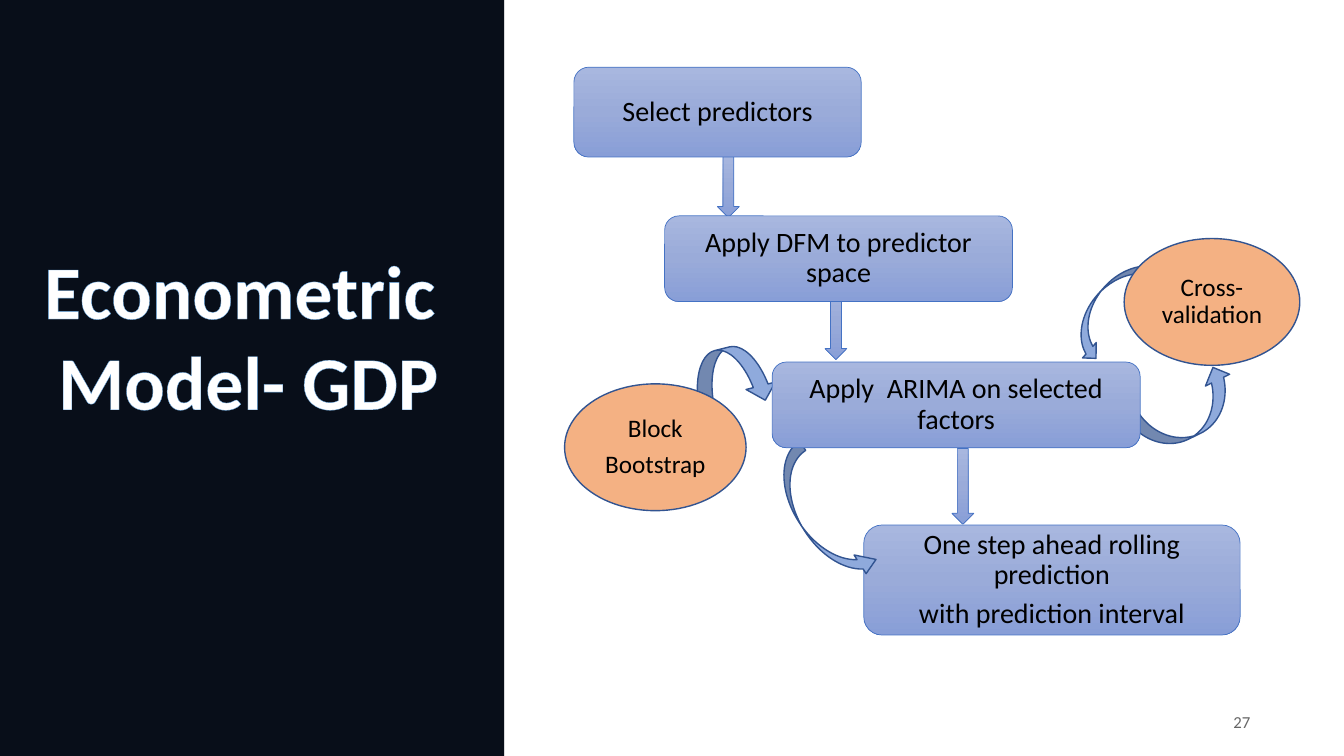
from copy import deepcopy
from dataclasses import dataclass

from lxml import etree
from pptx import Presentation
from pptx.dml.color import RGBColor
from pptx.enum.shapes import MSO_SHAPE
from pptx.enum.text import MSO_ANCHOR, MSO_AUTO_SIZE, PP_ALIGN
from pptx.oxml.ns import qn
from pptx.util import Inches, Pt

BOX = MSO_SHAPE.ROUNDED_RECTANGLE
OVAL = MSO_SHAPE.OVAL
DOWN = MSO_SHAPE.DOWN_ARROW
CURVE_RIGHT = MSO_SHAPE.CURVED_RIGHT_ARROW
CURVE_DOWN = MSO_SHAPE.CURVED_DOWN_ARROW
CURVE_UP = MSO_SHAPE.CURVED_UP_ARROW
MIDDLE = MSO_ANCHOR.MIDDLE
CENTER = PP_ALIGN.CENTER
RIGHT = PP_ALIGN.RIGHT
GROW = MSO_AUTO_SIZE.SHAPE_TO_FIT_TEXT

BLACK = RGBColor(0x00, 0x00, 0x00)
WHITE = RGBColor(0xFF, 0xFF, 0xFF)
NAVY = RGBColor(0x20, 0x38, 0x64)
SKY = RGBColor(0x8F, 0xAA, 0xDC)
PEACH = RGBColor(0xF4, 0xB1, 0x83)
EDGE = RGBColor(0x32, 0x54, 0x91)
RIM = RGBColor(0x44, 0x72, 0xC4)
GLOW = RGBColor(0x5B, 0x9B, 0xD5)
SHADES = (
    (0.0, RGBColor(0xA8, 0xB7, 0xDF)),
    (0.5, RGBColor(0x9A, 0xAB, 0xD9)),
    (1.0, RGBColor(0x88, 0x9E, 0xD7)),
)

FONT = "Calibri"
COLS, ROWS = 16, 9
WAVES = 5
SPAN = ROWS / WAVES
SHORE = 5.92
BAND = 0.19
RISE = (
    (0, 0), (0, 0.08), (0.01, 0.16), (0.02, 0.23), (0.05, 0.29),
    (0.07, 0.34), (0.1, 0.38), (0.12, 0.44), (0.14, 0.48), (0.17, 0.54),
    (0.19, 0.59), (0.22, 0.65), (0.23, 0.72), (0.24, 0.79), (0.24, 0.9),
)

deck = Presentation()
deck.slide_width = Inches(13.33)
deck.slide_height = Inches(7.5)
CELL = deck.slide_height / ROWS
slide = deck.slides.add_slide(deck.slide_layouts[6])


@dataclass
class Spot:
    col: float
    row: float
    wide: float
    high: float

    def frame(self) -> tuple:
        return tuple(round(n * CELL) for n in (self.col, self.row, self.wide, self.high))


@dataclass
class Part:
    kind: int
    spot: Spot
    fill: RGBColor | None = None
    lines: tuple = ()
    size: int = 20
    turn: float = 0
    bends: tuple = ()


PARTS = (
    Part(BOX, Spot(10.28, 6.25, 4.48, 1.31),
         lines=("One step ahead rolling prediction", "with prediction interval")),
    Part(DOWN, Spot(8.54, 1.85, 0.26, 0.74)),
    Part(DOWN, Spot(9.82, 3.38, 0.26, 0.9)),
    Part(DOWN, Spot(11.33, 5.34, 0.26, 0.9)),
    Part(CURVE_RIGHT, Spot(13.79, 4.21, 0.64, 1.36), SKY, turn=244),
    Part(CURVE_RIGHT, Spot(13.02, 2.92, 0.49, 1.46), SKY, turn=41.7),
    Part(OVAL, Spot(13.38, 2.84, 2.09, 1.51), PEACH, ("Cross- validation ",), 18),
    Part(CURVE_DOWN, Spot(8.24, 4.13, 0.97, 0.72), SKY, turn=345.9),
    Part(OVAL, Spot(6.72, 4.57, 2.16, 1.51), PEACH, ("Block", "Bootstrap"), 18),
    Part(CURVE_UP, Spot(8.88, 5.89, 1.81, 0.53), SKY, turn=57.2, bends=(0.25, 0.5, 0.36)),
    Part(BOX, Spot(9.19, 4.31, 4.38, 1.02), lines=("Apply  ARIMA on selected factors",)),
    Part(BOX, Spot(6.83, 0.8, 3.42, 1.07), lines=("Select predictors",)),
    Part(BOX, Spot(7.91, 2.57, 4.14, 1.02), lines=("Apply DFM to predictor space",)),
)


def fade(root: etree._Element, share: int) -> None:
    tint = root.find(".//" + qn("a:srgbClr"))
    etree.SubElement(tint, qn("a:alpha")).set("val", str(share * 1000))


def write(frame, lines: tuple, size: int, color: RGBColor, align: int = CENTER) -> list:
    runs = []
    for i, words in enumerate(lines):
        para = frame.paragraphs[0] if i == 0 else frame.add_paragraph()
        para.alignment = align
        run = para.add_run()
        run.text = words
        run.font.name = FONT
        run.font.size = Pt(size)
        run.font.color.rgb = color
        runs.append(run)
    return runs


def shade(shape) -> None:
    shape.fill.gradient()
    shape.fill.gradient_angle = 270
    stops = shape._element.spPr.find(".//" + qn("a:gsLst"))
    stops.insert(1, deepcopy(stops[0]))
    for stop, (place, color) in zip(shape.fill.gradient_stops, SHADES):
        stop.position = place
        stop.color.rgb = color


def draw(part: Part) -> None:
    shape = slide.shapes.add_shape(part.kind, *part.spot.frame())
    shape.shadow.inherit = False
    shape.rotation = part.turn
    for i, bend in enumerate(part.bends):
        shape.adjustments[i] = bend
    if part.fill is None:
        shade(shape)
        shape.line.color.rgb = RIM
        shape.line.width = Pt(0.5)
    else:
        shape.fill.solid()
        shape.fill.fore_color.rgb = part.fill
        shape.line.color.rgb = EDGE
        shape.line.width = Pt(1)
    frame = shape.text_frame
    frame.word_wrap = True
    frame.vertical_anchor = MIDDLE
    write(frame, part.lines, part.size, BLACK)
    for para in frame.paragraphs:
        para.line_spacing = 0.9
        para.space_after = Pt(6)


def panel(edge: float, color: RGBColor, share: int = 100) -> None:
    wave = RISE + tuple((dx, SPAN - dy) for dx, dy in RISE[-2::-1])
    coast = [(edge + dx, n * SPAN + dy) for n in range(WAVES) for dx, dy in wave]
    pen = slide.shapes.build_freeform(0, 0, CELL)
    pen.add_line_segments(coast + [(0, ROWS)], close=True)
    shape = pen.convert_to_shape()
    shape.shadow.inherit = False
    shape.fill.solid()
    shape.fill.fore_color.rgb = color
    shape.line.fill.background()
    if share < 100:
        fade(shape._element.spPr, share)


def number() -> None:
    frame = slide.shapes.add_textbox(*Spot(13.61, 8.36, 1.39, 0.46).frame()).text_frame
    frame.word_wrap = True
    frame.vertical_anchor = MIDDLE
    run = write(frame, ("27",), 12, BLACK, RIGHT)[0]
    frame.paragraphs[0].space_after = Pt(6)
    fade(run._r, 60)


def title() -> None:
    frame = slide.shapes.add_textbox(*Spot(0.38, 2.84, 5.15, 2.3).frame()).text_frame
    frame.word_wrap = False
    frame.auto_size = GROW
    for run in write(frame, ("Econometric ", "Model- GDP"), 54, WHITE):
        run.font.bold = True
        line = etree.Element(qn("a:ln"), w=str(Pt(0.8)))
        fill = etree.SubElement(line, qn("a:solidFill"))
        etree.SubElement(fill, qn("a:srgbClr")).set("val", str(GLOW))
        run._r.get_or_add_rPr().insert(0, line)


def main() -> None:
    panel(SHORE, BLACK)
    panel(SHORE + BAND, NAVY, 25)
    number()
    for part in PARTS:
        draw(part)
    title()
    deck.save("out.pptx")


if __name__ == "__main__":
    main()
